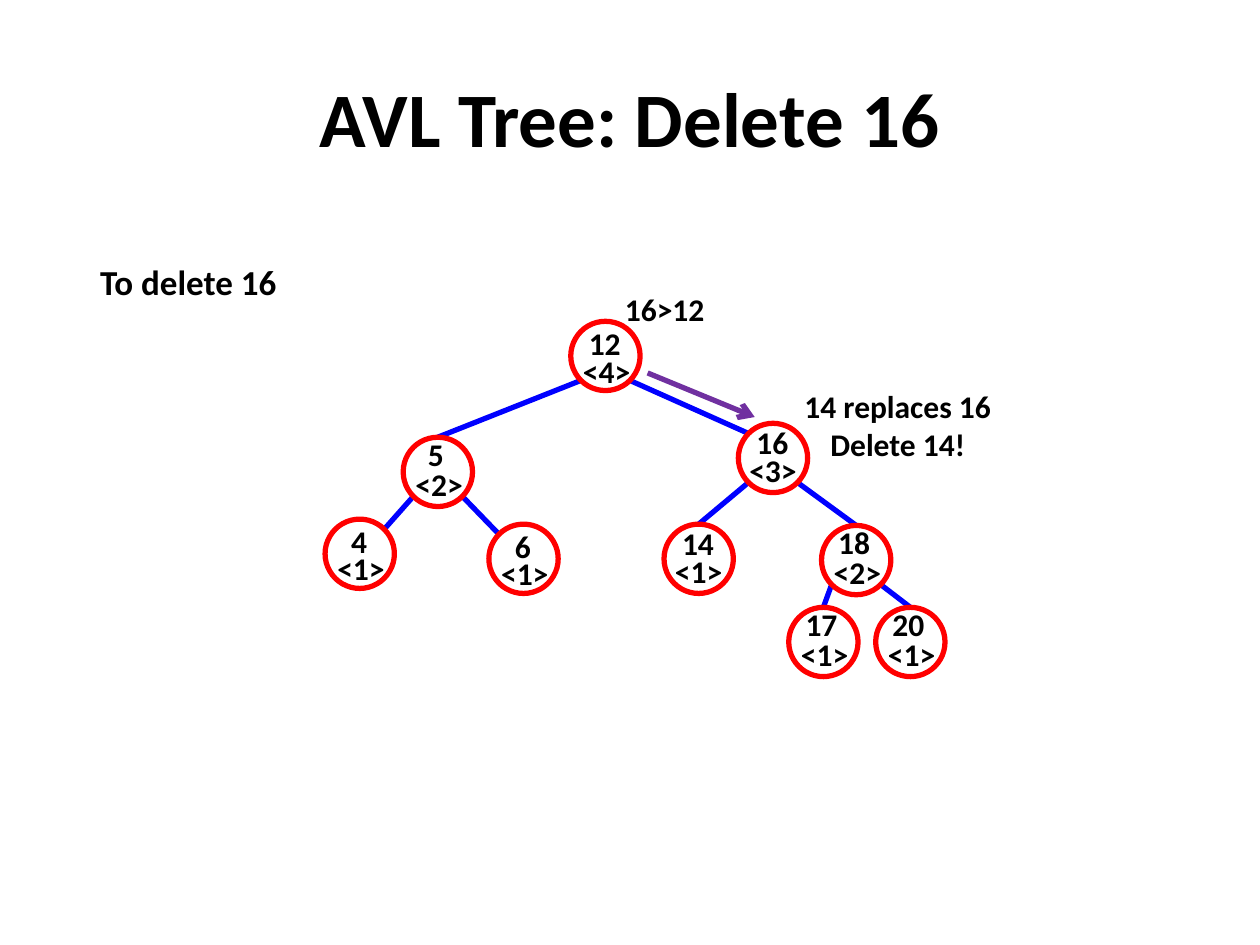
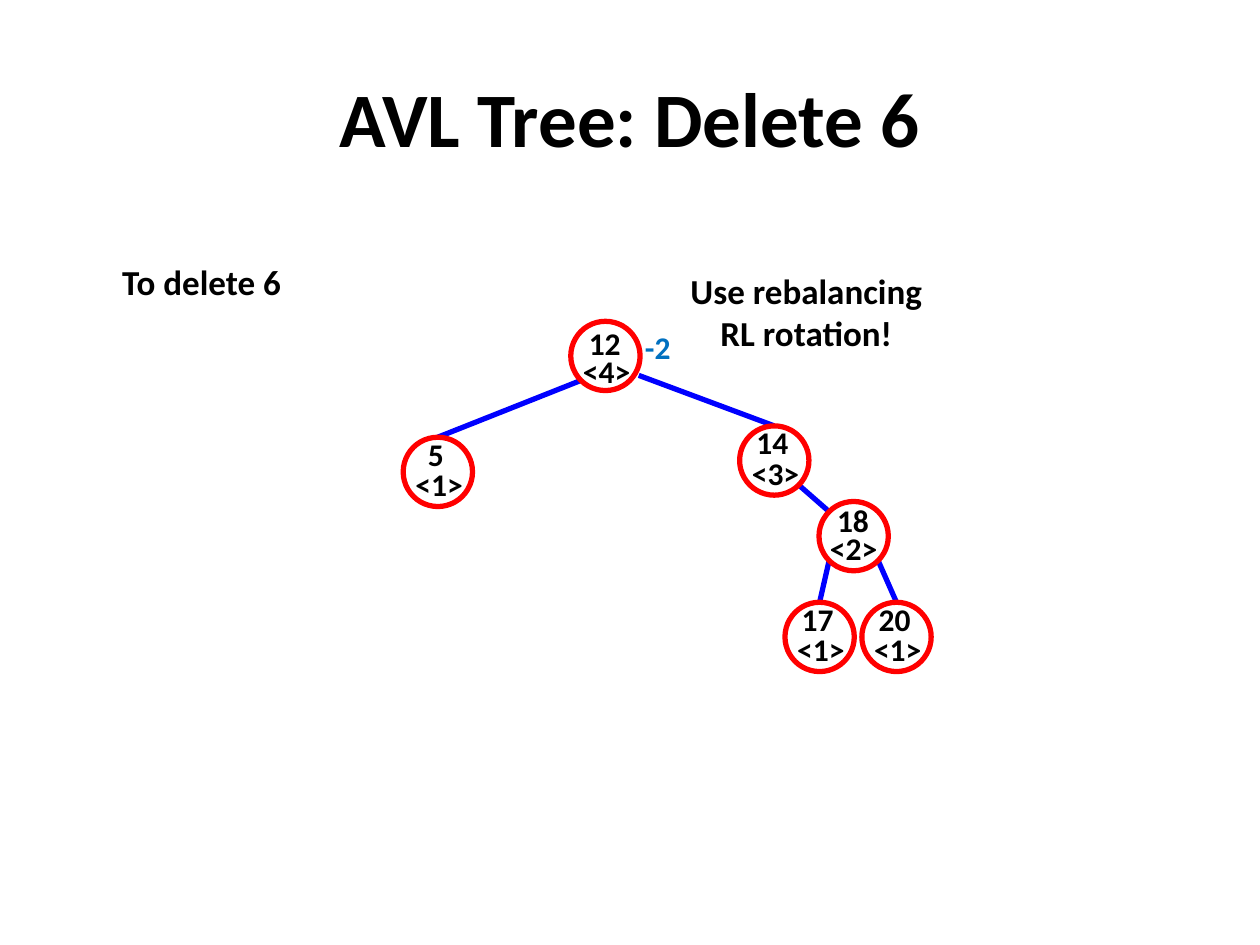
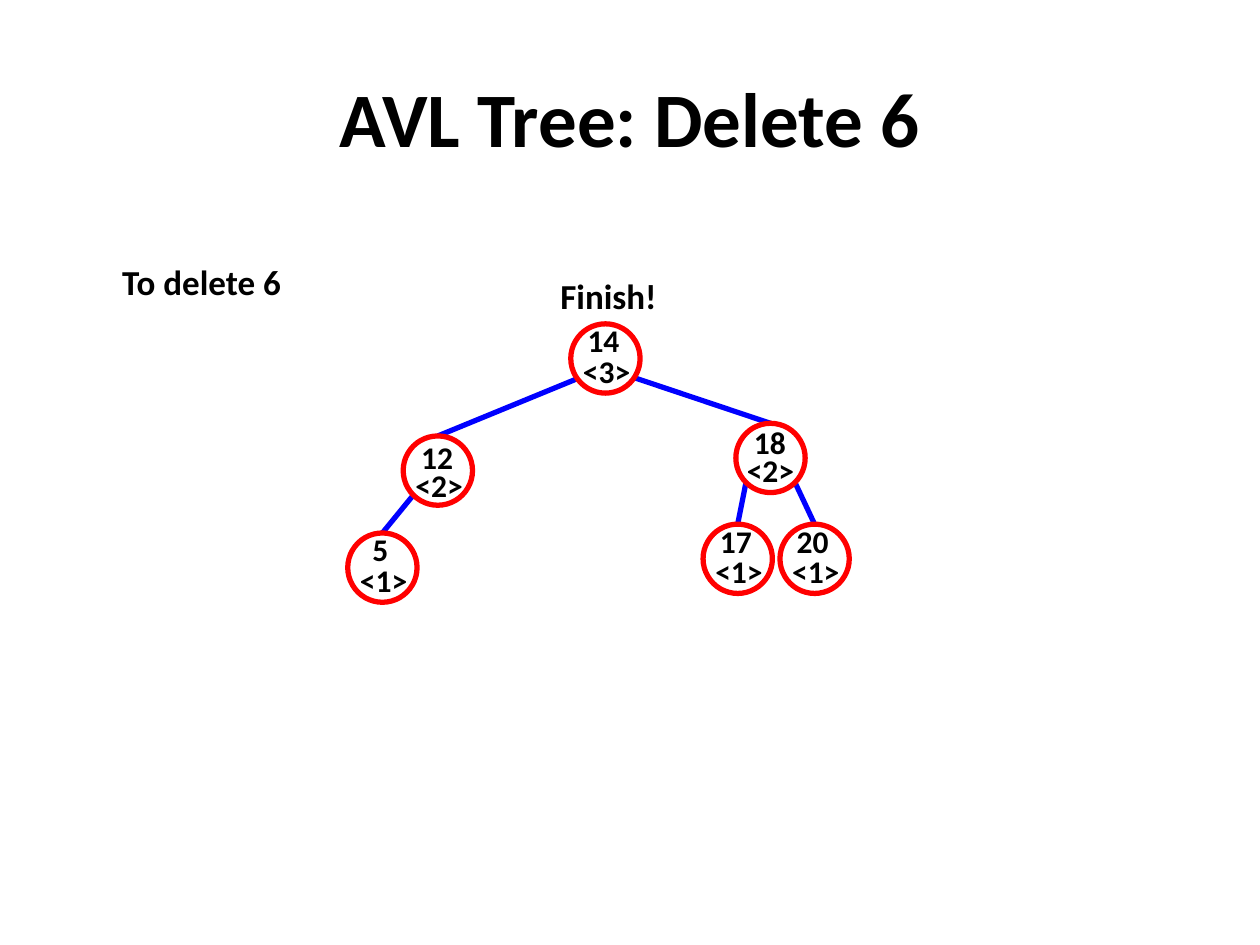
"""Build three slides that show deletion from an AVL tree."""
from lxml import etree
from pptx import Presentation
from pptx import util as u
from pptx.dml.color import RGBColor
from pptx.enum import shapes, text
from pptx.oxml import ns


class Theme:
    font = "Calibri"
    ink, paper = "000000", "FFFFFF"
    ring, edge, move, note = "FF0000", "0000FF", "7030A0", "0070C0"
    title, body, label = 44, 20, 18
    stroke = 3


SIZE = 0.55
EAR = SIZE / 2 * 0.5 ** 0.5
FLAT = (0, 0)
PAD = (0.1, 0.15)

# Offsets of the key and the height label from the corner of a node.
LOW = ((0.1, 0.02), (0.02, 0.24))
MID = ((0.1, 0), (0.01, 0.22))
HIGH = ((0.09, -0.02), (0.02, 0.22))

SLIDES = [
    {
        "title": "AVL Tree: Delete 16",
        "nodes": [
            (12, 4, 4.53, 2.55, LOW),
            (5, 2, 3.2, 3.47, HIGH),
            (16, 3, 5.86, 3.36, MID),
            (4, 1, 2.58, 4.12, LOW),
            (6, 1, 3.88, 4.16, LOW),
            (14, 1, 5.27, 4.16, MID),
            (18, 2, 6.52, 4.17, HIGH),
            (17, 1, 6.26, 4.82, HIGH),
            (20, 1, 6.95, 4.82, HIGH),
        ],
        "edges": [
            (12, 5, "top"), (12, 16, "near"), (5, 4, "near"), (5, 6, "near"),
            (16, 14, "top"), (16, 18, "top"), (18, 17, "top"), (18, 20, "top"),
        ],
        "moves": [((5.14, 2.96), (5.99, 3.31))],
        "notes": [
            (["To delete 16"], (0.01, 1.92, 2.97, 0.64), {"pad": PAD, "size": Theme.body}),
            (["16>12"], (4.85, 2.3, 0.85, 0.3), {}),
            (["14 replaces 16", "Delete 14!"], (6.33, 3.07, 1.59, 0.61), {}),
        ],
    },
    {
        "title": "AVL Tree: Delete 6",
        "nodes": [
            (12, 4, 4.53, 2.55, LOW),
            (5, 1, 3.2, 3.47, HIGH),
            (14, 3, 5.87, 3.38, HIGH),
            (18, 2, 6.5, 3.98, MID),
            (17, 1, 6.23, 4.78, HIGH),
            (20, 1, 6.84, 4.78, HIGH),
        ],
        "edges": [
            (12, 5, "top"), (12, 14, "top", (0.07, -0.04)), (14, 18, "near"),
            (18, 17, "top"), (18, 20, "top"),
        ],
        "moves": [],
        "notes": [
            (["To delete 6"], (0.01, 1.92, 3.18, 0.64), {"pad": PAD, "size": Theme.body}),
            (["Use rebalancing", "RL rotation!"], (4.81, 1.99, 3.18, 0.98),
             {"pad": PAD, "size": Theme.body}),
            (["-2"], (5.02, 2.45, 0.55, 0.61),
             {"pad": PAD, "color": Theme.note, "align": text.PP_ALIGN.LEFT}),
        ],
    },
    {
        "title": "AVL Tree: Delete 6",
        "nodes": [
            (14, 3, 4.53, 2.57, HIGH),
            (12, 2, 3.2, 3.46, LOW),
            (18, 2, 5.84, 3.36, MID),
            (5, 1, 2.76, 4.23, HIGH),
            (17, 1, 5.58, 4.16, HIGH),
            (20, 1, 6.19, 4.16, HIGH),
        ],
        "edges": [
            (14, 12, "top", (0.01, -0.05)), (14, 18, "top", (0.01, -0.05)),
            (12, 5, "top"), (18, 17, "top"), (18, 20, "top"),
        ],
        "moves": [],
        "notes": [
            (["To delete 6"], (0.01, 1.92, 3.18, 0.64), {"pad": PAD, "size": Theme.body}),
            (["Finish!"], (3.24, 2.03, 3.18, 0.64), {"pad": PAD, "size": Theme.body}),
        ],
    },
]


def apply(obj, values):
    for name, value in values.items():
        setattr(obj, name, value)


def write(slide, lines, box, pad=FLAT, size=Theme.label, color=Theme.ink,
          align=text.PP_ALIGN.CENTER, anchor=text.MSO_ANCHOR.TOP):
    frame = slide.shapes.add_textbox(*map(u.Inches, box)).text_frame
    side, end = map(u.Inches, pad)
    apply(frame, {
        "text": "\n".join(lines), "word_wrap": True, "vertical_anchor": anchor,
        "margin_left": side, "margin_right": side,
        "margin_top": end, "margin_bottom": end,
    })
    for para in frame.paragraphs:
        para.alignment = align
        apply(para.font, {"name": Theme.font, "size": u.Pt(size), "bold": True})
        para.font.color.rgb = RGBColor.from_string(color)


def stroke(line, color):
    line.width = u.Pt(Theme.stroke)
    line.color.rgb = RGBColor.from_string(color)


def link(slide, start, end, color, arrow=False):
    line = slide.shapes.add_connector(
        shapes.MSO_CONNECTOR.STRAIGHT, *map(u.Inches, (*start, *end)))
    stroke(line.line, color)
    if arrow:
        tip = etree.SubElement(line.line._get_or_add_ln(), ns.qn("a:tailEnd"))
        tip.set("type", "arrow")
    etree.SubElement(line._element.spPr, ns.qn("a:effectLst"))


def join(slide, spots, top, low, site, shift=FLAT):
    (ax, ay), (bx, by) = spots[top], spots[low]
    side = EAR if bx > ax else -EAR
    start = (ax + side + shift[0], ay + EAR + shift[1])
    end = (bx, by - SIZE / 2) if site == "top" else (bx - side, by - EAR)
    link(slide, start, end, Theme.edge)


def node(slide, key, level, x, y, style):
    ring = slide.shapes.add_shape(
        shapes.MSO_SHAPE.OVAL, *map(u.Inches, (x, y, SIZE, SIZE)))
    ring.shadow.inherit = False
    ring.fill.solid()
    ring.fill.fore_color.rgb = RGBColor.from_string(Theme.paper)
    stroke(ring.line, Theme.ring)
    words = (str(key), f"<{level}>")
    for word, (dx, dy), wide in zip(words, style, (0.34, 0.53)):
        write(slide, [word], (x + dx, y + dy, wide, 0.3))


def draw(slide, data):
    write(slide, [data["title"]], (0.5, 0.3, 9, 1.25), pad=(0.1, 0.05),
          size=Theme.title, anchor=text.MSO_ANCHOR.MIDDLE)
    spots = {key: (x + SIZE / 2, y + SIZE / 2) for key, _, x, y, _ in data["nodes"]}
    for edge in data["edges"]:
        join(slide, spots, *edge)
    for item in data["nodes"]:
        node(slide, *item)
    for start, end in data["moves"]:
        link(slide, start, end, Theme.move, arrow=True)
    for lines, box, look in data["notes"]:
        write(slide, lines, box, **look)


def main():
    deck = Presentation()
    apply(deck, {"slide_width": u.Inches(10), "slide_height": u.Inches(7.5)})
    for data in SLIDES:
        draw(deck.slides.add_slide(deck.slide_layouts[6]), data)
    deck.save("out.pptx")


if __name__ == "__main__":
    main()
